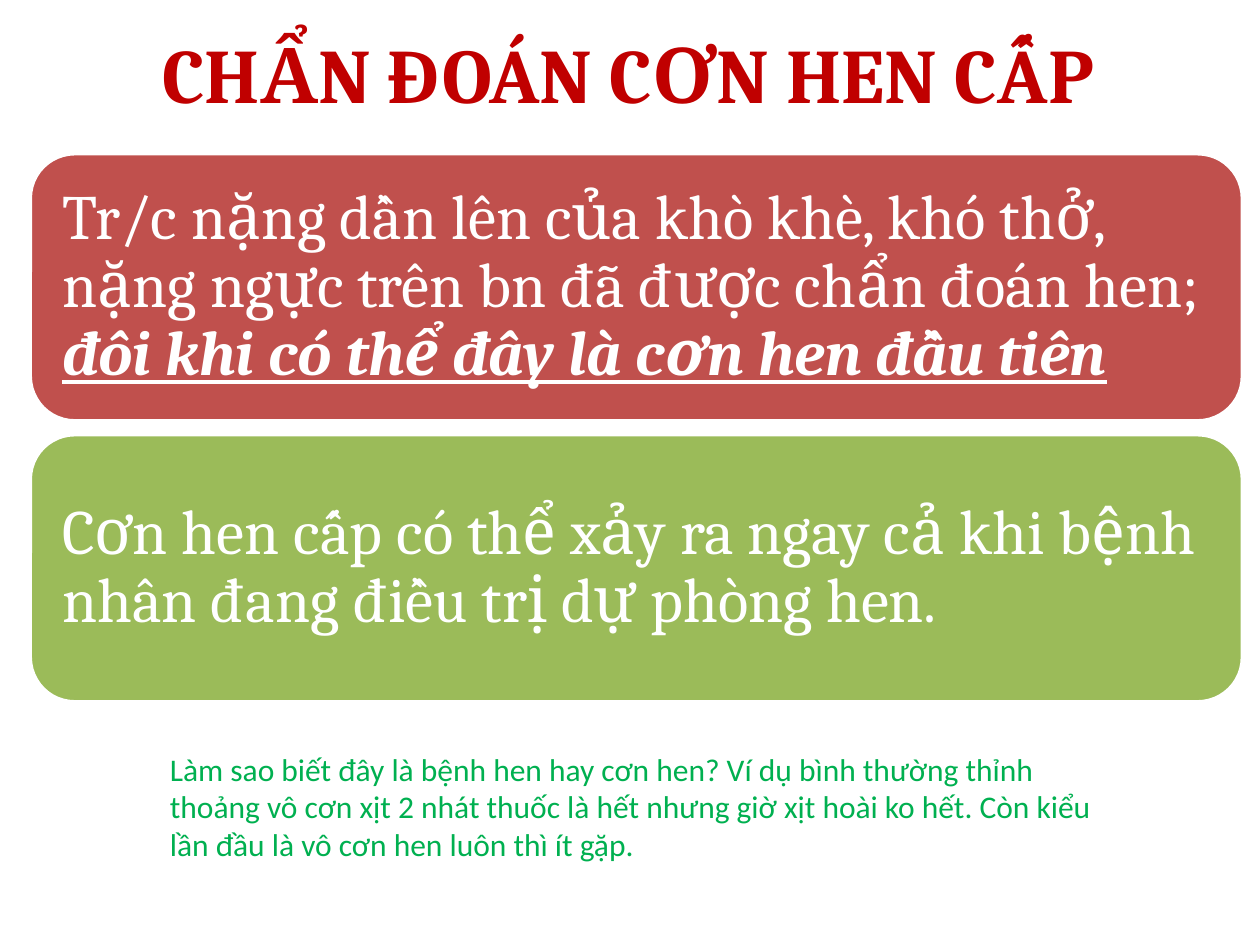
from pptx import Presentation
from pptx.dml.color import RGBColor
from pptx.enum.shapes import MSO_SHAPE as Shape
from pptx.enum.text import MSO_ANCHOR as Anchor, MSO_AUTO_SIZE as AutoSize, PP_ALIGN as Align
from pptx.util import Emu, Pt

EMU_PER_PX = 9144  # 100 px to the inch


def px(length):
    return Emu(length * EMU_PER_PX)


def color(hex_text):
    return RGBColor.from_string(hex_text)


class SlideBuilder:
    heading_font = "Cambria"
    note_font = "Calibri"
    white = "FFFFFF"
    title_red = "C00000"
    note_green = "00B050"

    def __init__(self, slide):
        self.slide = slide

    def style(self, span, font, size, hex_text):
        span.font.name = font
        span.font.size = Pt(size)
        span.font.color.rgb = color(hex_text)

    def title(self, text, left, top, width, height):
        title = self.slide.shapes.title
        title.left, title.top, title.width, title.height = map(px, (left, top, width, height))
        frame = title.text_frame
        frame.text = text
        frame.vertical_anchor = Anchor.MIDDLE
        para = frame.paragraphs[0]
        para.alignment = Align.CENTER
        self.style(para.runs[0], self.heading_font, 44, self.title_red)
        para.runs[0].font.bold = True

    def card(self, text, fill, left, top, width, height, emphasis=""):
        """Rounded panel whose text may end in a bold, italic, underlined part."""
        box = self.slide.shapes.add_shape(
            Shape.ROUNDED_RECTANGLE, px(left), px(top), px(width), px(height))
        box.shadow.inherit = False
        box.fill.solid()
        box.fill.fore_color.rgb = color(fill)
        box.line.color.rgb = color(self.white)
        box.line.width = Pt(2)
        frame = box.text_frame
        frame.word_wrap = True
        frame.vertical_anchor = Anchor.MIDDLE
        frame.margin_left = frame.margin_right = px(15)
        frame.margin_top = frame.margin_bottom = px(15)
        frame.text = text
        para = frame.paragraphs[0]
        para.alignment = Align.LEFT
        para.line_spacing = 0.9
        if emphasis:
            span = para.add_run()
            span.text = emphasis
            span.font.bold = span.font.italic = span.font.underline = True
        for span in para.runs:
            self.style(span, self.heading_font, 36, self.white)

    def note(self, text, left, top, width, height):
        box = self.slide.shapes.add_textbox(px(left), px(top), px(width), px(height))
        frame = box.text_frame
        frame.word_wrap = True
        frame.auto_size = AutoSize.SHAPE_TO_FIT_TEXT
        frame.text = text
        self.style(frame.paragraphs[0].runs[0], self.note_font, 18, self.note_green)


def main():
    deck = Presentation()
    deck.slide_width, deck.slide_height = px(1000), px(750)
    page = SlideBuilder(deck.slides.add_slide(deck.slide_layouts[5]))

    page.title("CHẨN ĐOÁN CƠN HEN CẤP", 11, 15, 975, 85)

    cards = [
        ("C0504D",
         "Tr/c nặng dần lên của khò khè, khó thở, nặng ngực trên bn đã được chẩn đoán hen; ",
         "đôi khi có thể đây là cơn hen đầu tiên"),
        ("9BBB59",
         "Cơn hen cấp có thể xảy ra ngay cả khi bệnh nhân đang điều trị dự phòng hen.",
         ""),
    ]
    card_top, card_height, card_pitch = 122, 212, 223
    for index, (fill, text, emphasis) in enumerate(cards):
        page.card(text, fill, 24, card_top + index * card_pitch, 962, card_height, emphasis)

    page.note(
        "Làm sao biết đây là bệnh hen hay cơn hen? Ví dụ bình thường thỉnh thoảng "
        "vô cơn xịt 2 nhát thuốc là hết nhưng giờ xịt hoài ko hết. Còn kiểu lần đầu "
        "là vô cơn hen luôn thì ít gặp.",
        125, 590, 777, 101)

    deck.save("out.pptx")


if __name__ == "__main__":
    main()
